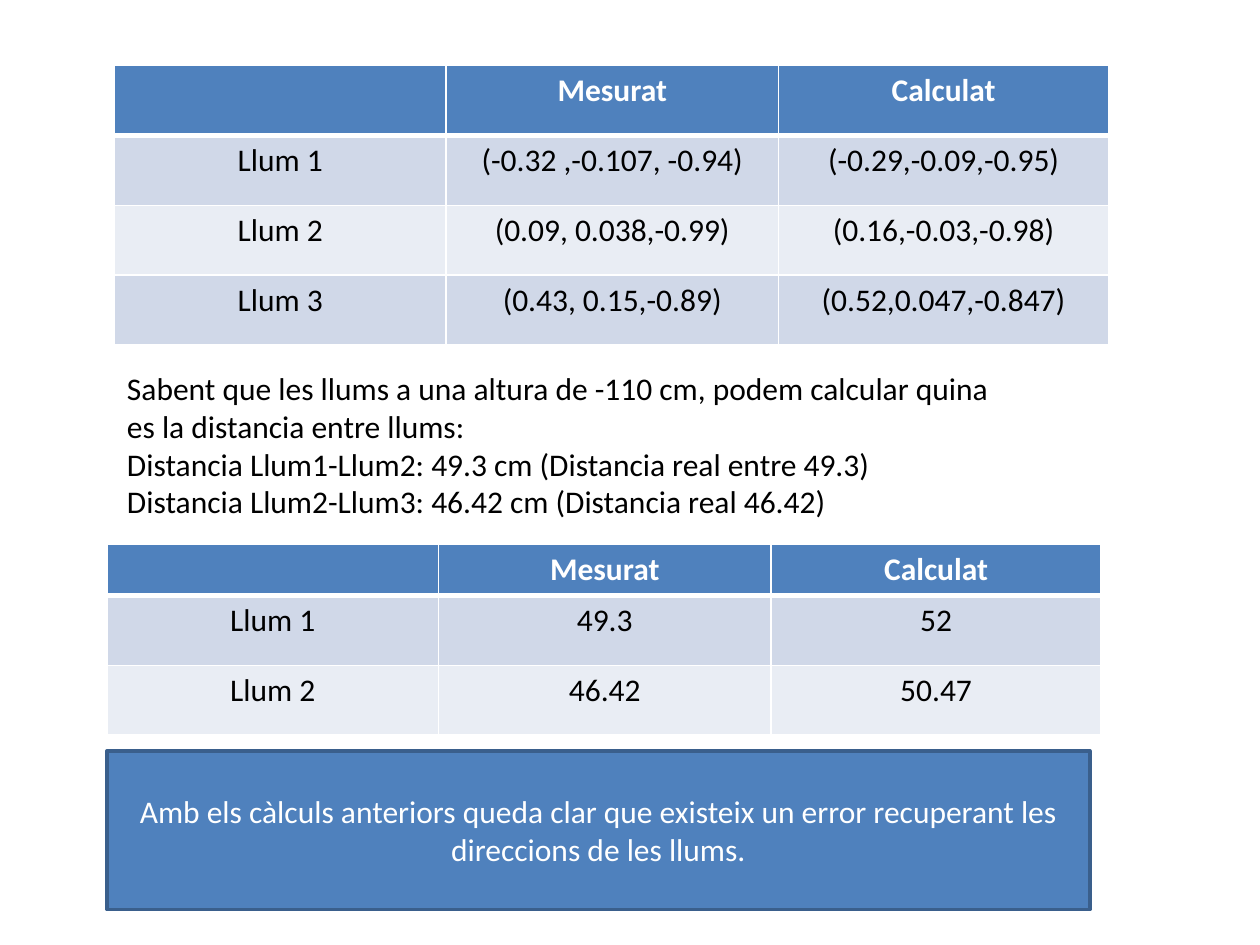
from lxml import etree
from pptx import Presentation, util as u
from pptx.dml.color import RGBColor
from pptx.enum import shapes, text
from pptx.oxml import ns

BLUE = RGBColor(0x4F, 0x81, 0xBD)
DARK_BLUE = RGBColor(0x3A, 0x5F, 0x8C)
BAND = RGBColor(0xD0, 0xD8, 0xE8)
LIGHT_BAND = RGBColor(0xE9, 0xED, 0xF4)
WHITE = RGBColor(0xFF, 0xFF, 0xFF)
BLACK = RGBColor(0, 0, 0)

LEFT_TOP, LEFT_LOW = 0.91, 0.85
ROW = 0.555
COLUMNS = (2.63, 2.64, 2.62)


def write(tf, lines, color, align, bold=False):
    for i, line in enumerate(lines):
        p = tf.paragraphs[0] if i == 0 else tf.add_paragraph()
        p.alignment = align
        r = p.add_run()
        r.text = line
        for name, value in {"name": "Calibri", "size": u.Pt(18), "bold": bold}.items():
            setattr(r.font, name, value)
        r.font.color.rgb = color


def set_borders(cell, widths):
    """Draw white borders; widths maps a side (L, R, T, B) to points."""
    tc_pr = cell._tc.get_or_add_tcPr()
    for side, width in widths.items():
        ln = etree.SubElement(tc_pr, ns.qn(f"a:ln{side}"), w=str(u.Pt(width)))
        fill = etree.SubElement(ln, ns.qn("a:solidFill"))
        etree.SubElement(fill, ns.qn("a:srgbClr"), val=str(WHITE))


prs = Presentation()
prs.slide_width, prs.slide_height = u.Inches(10), u.Inches(7.5)
s = prs.slides.add_slide(prs.slide_layouts[6])

# Tables: left, top, header height, rows
header = ("", "Mesurat", "Calculat")
tables = [
    (LEFT_TOP, 0.52, ROW, [
        header,
        ("Llum 1", "(-0.32 ,-0.107, -0.94)", "(-0.29,-0.09,-0.95)"),
        ("Llum 2", "(0.09, 0.038,-0.99)", "(0.16,-0.03,-0.98)"),
        ("Llum 3", "(0.43, 0.15,-0.89)", "(0.52,0.047,-0.847)"),
    ]),
    (LEFT_LOW, 4.32, 0.4, [
        header,
        ("Llum 1", "49.3", "52"),
        ("Llum 2", "46.42", "50.47"),
    ]),
]
for left, top, header_height, rows in tables:
    heights = [header_height] + [ROW] * (len(rows) - 1)
    table = s.shapes.add_table(
        len(rows), len(COLUMNS), u.Inches(left), u.Inches(top),
        u.Inches(sum(COLUMNS)), u.Inches(sum(heights))).table
    for column, width in zip(table.columns, COLUMNS):
        column.width = u.Inches(width)
    for i, (row, height) in enumerate(zip(rows, heights)):
        table.rows[i].height = u.Inches(height)
        for j, value in enumerate(row):
            cell = table.cell(i, j)
            set_borders(cell, {"L": 1, "R": 1, "T": 3 if i == 1 else 1,
                               "B": 3 if i == 0 else 1})
            cell.fill.solid()
            cell.fill.fore_color.rgb = BLUE if i == 0 else BAND if i % 2 else LIGHT_BAND
            if value:
                write(cell.text_frame, [value], WHITE if i == 0 else BLACK,
                      text.PP_ALIGN.CENTER, bold=i == 0)

# Distances between the lights
tf = s.shapes.add_textbox(u.Inches(LEFT_TOP), u.Inches(2.88),
                          u.Inches(7.17), u.Inches(1.31)).text_frame
tf.word_wrap = True
tf.auto_size = text.MSO_AUTO_SIZE.SHAPE_TO_FIT_TEXT
write(tf, [
    "Sabent que les llums a una altura de -110 cm, podem calcular quina "
    "es la distancia entre llums:",
    "Distancia Llum1-Llum2: 49.3 cm (Distancia real entre 49.3)",
    "Distancia Llum2-Llum3: 46.42 cm (Distancia real 46.42)",
], BLACK, text.PP_ALIGN.LEFT)

# Conclusion
sp = s.shapes.add_shape(shapes.MSO_SHAPE.RECTANGLE, u.Inches(LEFT_LOW),
                        u.Inches(5.96), u.Inches(7.8), u.Inches(1.26))
sp.shadow.inherit = False
sp.fill.solid()
sp.fill.fore_color.rgb = BLUE
sp.line.color.rgb = DARK_BLUE
sp.line.width = u.Pt(2)
sp.text_frame.word_wrap = True
sp.text_frame.vertical_anchor = text.MSO_ANCHOR.MIDDLE
write(sp.text_frame, [
    "Amb els càlculs anteriors queda clar que existeix un error recuperant "
    "les direccions de les llums."
], WHITE, text.PP_ALIGN.CENTER)

prs.save("out.pptx")
